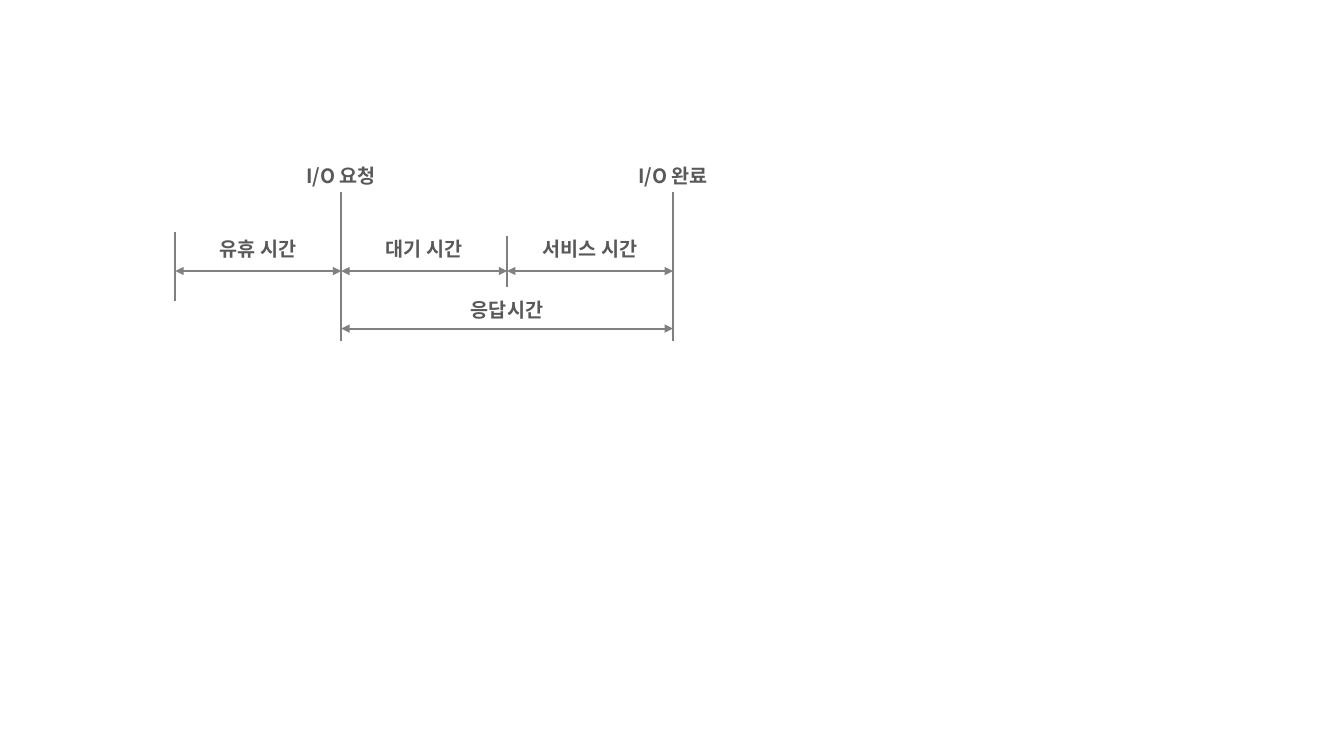
import dataclasses

import lxml.etree
import pptx
import pptx.dml.color
import pptx.enum.shapes
import pptx.enum.text
import pptx.oxml.ns
import pptx.util

Cm = pptx.util.Cm
qn = pptx.oxml.ns.qn


@dataclasses.dataclass(frozen=True)
class Theme:
    font: str = "Noto Sans CJK KR"
    text: str = "595959"
    line: str = "808080"
    size: float = 14
    weight: float = 1.5


def rgb(value):
    return pptx.dml.color.RGBColor.from_string(value)


def write(tf, text, *, font, size, color, bold=True,
          align=pptx.enum.text.PP_ALIGN.CENTER):
    p = tf.paragraphs[0]
    p.alignment = align
    r = p.add_run()
    r.text = text
    r.font.size = pptx.util.Pt(size)
    r.font.bold = bold
    r.font.color.rgb = rgb(color)
    r.font.name = font
    lxml.etree.SubElement(r._r.get_or_add_rPr(), qn("a:ea"), typeface=font)


class Timeline:
    """Draws the parts of a timing diagram on one slide."""

    def __init__(self, slide, theme):
        self.slide = slide
        self.theme = theme

    def line(self, x1, y1, x2, y2):
        s = self.slide.shapes.add_connector(
            pptx.enum.shapes.MSO_CONNECTOR.STRAIGHT,
            Cm(x1), Cm(y1), Cm(x2), Cm(y2))
        s.line.color.rgb = rgb(self.theme.line)
        s.line.width = pptx.util.Pt(self.theme.weight)
        lxml.etree.SubElement(s._element.spPr, qn("a:effectLst"))
        return s

    def tick(self, x, top, bottom):
        self.line(x, top, x, bottom)

    def span(self, x1, x2, y):
        ln = self.line(x1, y, x2, y).line._get_or_add_ln()
        for end in ("a:headEnd", "a:tailEnd"):
            lxml.etree.SubElement(ln, qn(end), type="triangle")

    def label(self, text, center, top, width=2.82):
        s = self.slide.shapes.add_textbox(
            Cm(center - width / 2), Cm(top), Cm(width), Cm(0.86))
        tf = s.text_frame
        tf.word_wrap = True
        tf.auto_size = pptx.enum.text.MSO_AUTO_SIZE.SHAPE_TO_FIT_TEXT
        write(tf, text, font=self.theme.font, size=self.theme.size,
              color=self.theme.text)


def main():
    prs = pptx.Presentation()
    prs.slide_width, prs.slide_height = Cm(33.87), Cm(19.05)
    timeline = Timeline(prs.slides.add_slide(prs.slide_layouts[6]), Theme())

    idle, request, service, done = (4.42 + 4.18 * i for i in range(4))
    phase_y, response_y = 6.83, 8.28
    spans = [
        ("유휴 시간", idle, request, phase_y, 5.84, 2.82),
        ("대기 시간", request, service, phase_y, 5.84, 2.82),
        ("서비스 시간", service, done, phase_y, 5.84, 3.4),
        ("응답시간", request, done, response_y, 7.39, 2.82),
    ]
    ticks = [(request, 4.85, 8.59), (service, 5.94, 7.24),
             (done, 4.85, 8.59), (idle, 5.84, 7.59)]

    for text, start, end, y, top, width in spans:
        timeline.span(start, end, y)
        timeline.label(text, (start + end) / 2, top, width)
    for x, top, bottom in ticks:
        timeline.tick(x, top, bottom)
    for text, x in (("I/O 요청", request), ("I/O 완료", done)):
        timeline.label(text, x, 4.01)

    prs.save("out.pptx")


if __name__ == "__main__":
    main()
